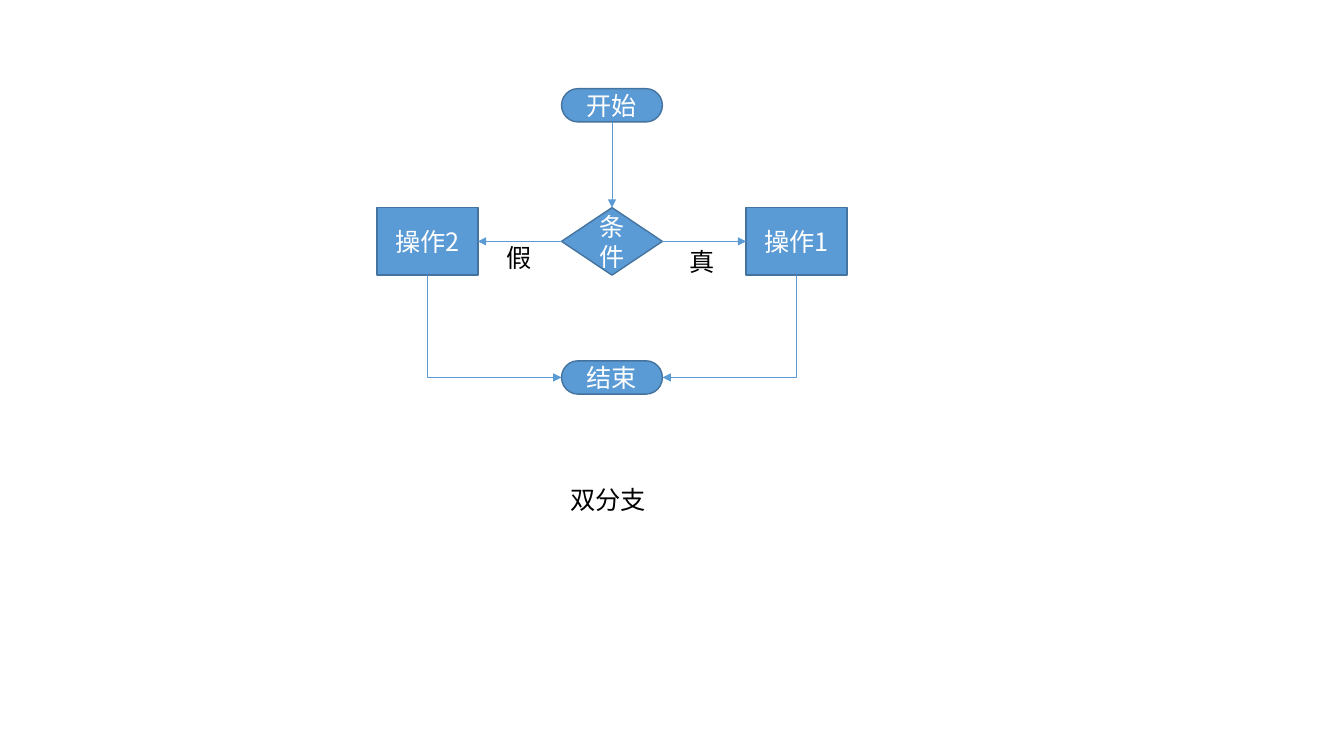
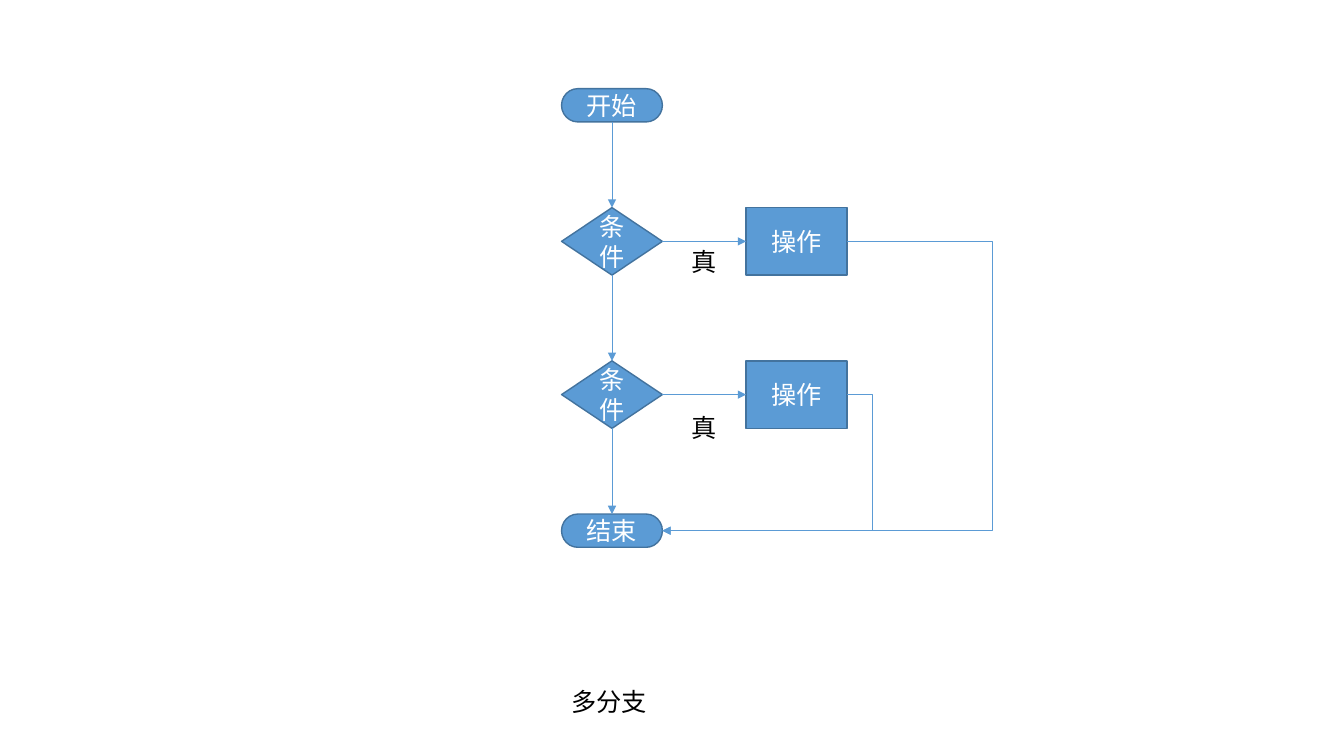
import lxml.etree
import pptx
import pptx.dml.color
import pptx.enum.shapes
import pptx.enum.text
import pptx.oxml.ns
import pptx.util

Inches, Pt = pptx.util.Inches, pptx.util.Pt
Color = pptx.dml.color.RGBColor.from_string
Kind = pptx.enum.shapes.MSO_SHAPE
Wire = pptx.enum.shapes.MSO_CONNECTOR
Text = pptx.enum.text
qn = pptx.oxml.ns.qn


class Theme:
    """Colours, type and line sizes of both slides."""
    fill = Color("5B9BD5")
    edge = Color("43739E")
    light = Color("FFFFFF")
    dark = Color("000000")
    font = "Noto Sans CJK SC"
    size = Pt(18)
    rim = Pt(1)
    wire = Pt(0.5)


def write(shape, words, color):
    """Add one run of text to a shape."""
    run = shape.text_frame.paragraphs[0].add_run()
    run.text = words
    run.font.name = Theme.font
    run.font.size = Theme.size
    run.font.color.rgb = color
    east = lxml.etree.SubElement(run.font._element, qn("a:ea"))
    east.set("typeface", Theme.font)


def link(slide, start, out, end, into, reach):
    """Join two shapes by an arrow; reach is how far a loop swings out."""
    corner = out == BOTTOM and into != TOP
    style = Wire.ELBOW if corner or reach else Wire.STRAIGHT
    wire = slide.shapes.add_connector(style, 0, 0, 0, 0)
    wire.begin_connect(start, out)
    wire.end_connect(end, into)
    wire.line.color.rgb = Theme.fill
    wire.line.width = Theme.wire
    props = wire.element.spPr
    head = lxml.etree.SubElement(props.find(qn("a:ln")), qn("a:tailEnd"))
    head.set("type", "triangle")
    lxml.etree.SubElement(props, qn("a:effectLst"))
    shape = props.find(qn("a:prstGeom"))
    if corner:
        # A quarter turn makes the path leave downwards.
        shape.set("prst", "bentConnector2")
        left = wire.end_x < wire.begin_x
        wide, high = wire.width, wire.height
        wire.left += (wide - high) // 2
        wire.top += (high - wide) // 2
        wire.width, wire.height = high, wide
        frame = props.find(qn("a:xfrm"))
        frame.set("rot", str((90 if left else 270) * 60000))
        frame.set("flipH", "0" if left else "1")
    elif reach:
        guide = lxml.etree.SubElement(shape.find(qn("a:avLst")), qn("a:gd"))
        guide.set("name", "adj1")
        guide.set("fmla", f"val {round(-100000 * Inches(reach) / wire.width)}")


TOP, LEFT, BOTTOM, RIGHT = range(4)
MID, STEP = 5.57, 1.83
FIRST, DROP = 2.06, 1.52
WIDE, HIGH, LOW = 1, 0.67, 0.33
END, TEST, TASK = (Kind.FLOWCHART_TERMINATOR, Kind.FLOWCHART_DECISION,
                   Kind.FLOWCHART_PROCESS)

# Nodes: key, kind, column, row, words. Row None is the start, above the rows.
# Links: from, side, to, side, reach. Labels: left, top, words.
charts = [
    dict(
        nodes=[("start", END, 0, None, "开始"),
               ("test", TEST, 0, 0, "条件"),
               ("yes", TASK, 1, 0, "操作1"),
               ("no", TASK, -1, 0, "操作2"),
               ("end", END, 0, 1, "结束")],
        links=[("start", BOTTOM, "test", TOP, 0),
               ("test", RIGHT, "yes", LEFT, 0),
               ("test", LEFT, "no", RIGHT, 0),
               ("yes", BOTTOM, "end", RIGHT, 0),
               ("no", BOTTOM, "end", LEFT, 0)],
        labels=[(6.74, 2.39, "真"), (4.93, 2.36, "假"),
                (5.56, 4.76, "双分支")]),
    dict(
        nodes=[("start", END, 0, None, "开始"),
               ("test", TEST, 0, 0, "条件"),
               ("task", TASK, 1, 0, "操作"),
               ("test 2", TEST, 0, 1, "条件"),
               ("task 2", TASK, 1, 1, "操作"),
               ("end", END, 0, 2, "结束")],
        links=[("start", BOTTOM, "test", TOP, 0),
               ("test", RIGHT, "task", LEFT, 0),
               ("test", BOTTOM, "test 2", TOP, 0),
               ("test 2", RIGHT, "task 2", LEFT, 0),
               ("test 2", BOTTOM, "end", TOP, 0),
               ("task", RIGHT, "end", RIGHT, 1.44),
               ("task 2", RIGHT, "end", RIGHT, 0.25)],
        labels=[(6.76, 2.39, "真"), (6.76, 4.04, "真"),
                (5.57, 6.76, "多分支")]),
]

deck = pptx.Presentation()
deck.slide_width, deck.slide_height = Inches(13.33), Inches(7.5)

for chart in charts:
    slide = deck.slides.add_slide(deck.slide_layouts[6])
    nodes = {}
    for key, kind, col, row, words in chart["nodes"]:
        top = 0.88 if row is None else FIRST + row * DROP
        node = slide.shapes.add_shape(
            kind, Inches(MID + col * STEP), Inches(top),
            Inches(WIDE), Inches(LOW if kind == END else HIGH))
        node.shadow.inherit = False
        node.fill.solid()
        node.fill.fore_color.rgb = Theme.fill
        node.line.color.rgb = Theme.edge
        node.line.width = Theme.rim
        node.text_frame.vertical_anchor = Text.MSO_ANCHOR.MIDDLE
        node.text_frame.paragraphs[0].alignment = Text.PP_ALIGN.CENTER
        write(node, words, Theme.light)
        nodes[key] = node
    for start, out, end, into, reach in chart["links"]:
        link(slide, nodes[start], out, nodes[end], into, reach)
    for left, top, words in chart["labels"]:
        label = slide.shapes.add_textbox(
            Inches(left), Inches(top),
            Inches(0.2 + 0.25 * len(words)), Inches(0.4))
        label.text_frame.word_wrap = False
        label.text_frame.auto_size = Text.MSO_AUTO_SIZE.SHAPE_TO_FIT_TEXT
        write(label, words, Theme.dark)

deck.save("out.pptx")
